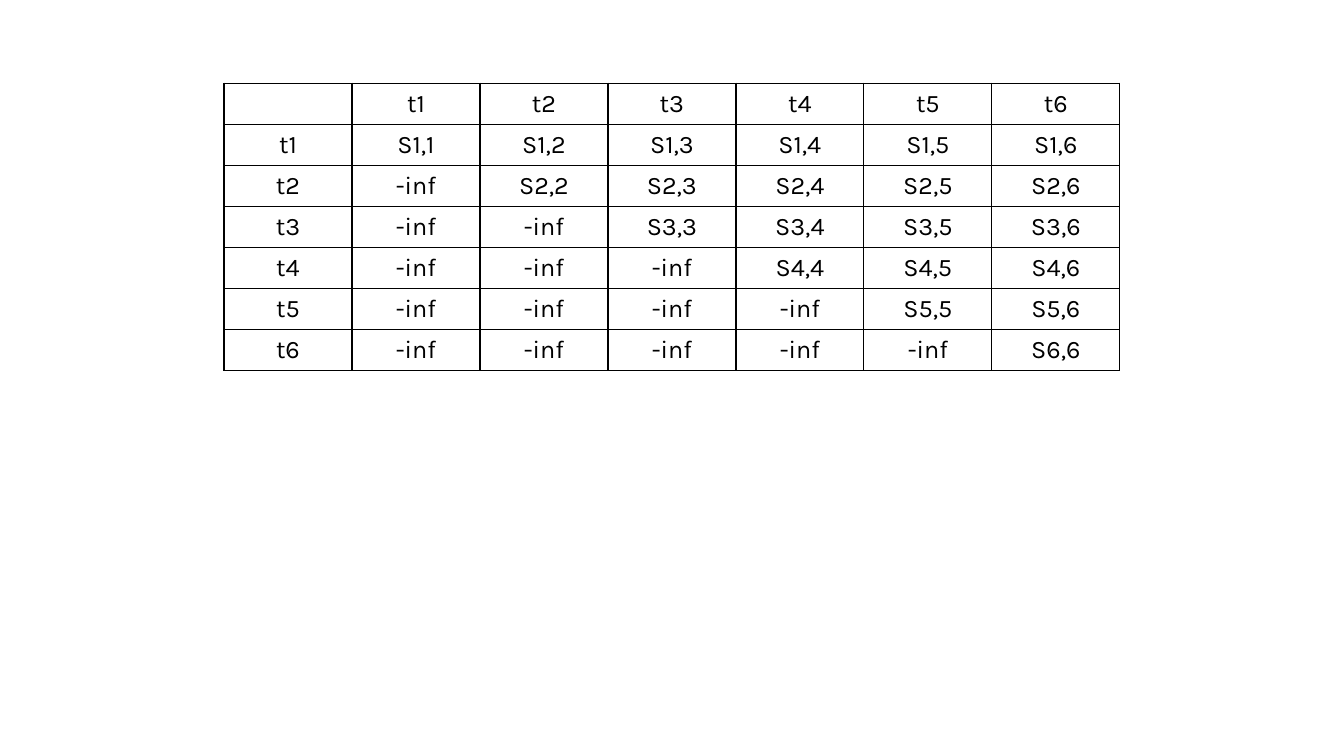
from dataclasses import dataclass

from lxml.etree import SubElement
from pptx import Presentation
from pptx.dml.color import RGBColor as RGB
from pptx.enum.text import MSO_ANCHOR as Anchor, PP_ALIGN as Align
from pptx.oxml.ns import qn
from pptx.util import Inches, Pt


@dataclass(frozen=True)
class Theme:
    font: str = "Karla"
    size: int = 18
    ink: str = "000000"
    border: int = 1


THEME = Theme()
TOKENS = 6


def score_rows(n):
    """Upper-triangular scores, with -inf wherever the end precedes the start."""
    names = [f"t{i}" for i in range(1, n + 1)]
    yield ["", *names]
    for i, name in enumerate(names, 1):
        yield [name] + [f"S{i},{j}" if j >= i else "-inf" for j in range(1, n + 1)]


def set_borders(cell):
    tcPr = cell._tc.get_or_add_tcPr()
    for side in ("a:lnL", "a:lnR", "a:lnT", "a:lnB"):
        ln = SubElement(tcPr, qn(side), w=str(Pt(THEME.border)))
        fill = SubElement(ln, qn("a:solidFill"))
        SubElement(fill, qn("a:srgbClr"), val=THEME.ink)


def fill_cell(cell, text):
    set_borders(cell)
    cell.fill.background()
    cell.vertical_anchor = Anchor.MIDDLE
    p = cell.text_frame.paragraphs[0]
    p.alignment = Align.CENTER
    if text:
        r = p.add_run()
        r.text = text
        formats = {"name": THEME.font, "size": Pt(THEME.size), "bold": False}
        for key, value in formats.items():
            setattr(r.font, key, value)
        r.font.color.rgb = RGB.from_string(THEME.ink)


def add_grid(slide, rows, left, top, width, height):
    table = slide.shapes.add_table(len(rows), len(rows[0]), left, top, width, height).table
    table.first_row = table.horz_banding = False
    for i, row in enumerate(rows):
        for j, text in enumerate(row):
            fill_cell(table.cell(i, j), text)


def main():
    prs = Presentation()
    prs.slide_width, prs.slide_height = Inches(13.33), Inches(7.5)
    w, h = prs.slide_width, prs.slide_height
    s = prs.slides.add_slide(prs.slide_layouts[6])
    add_grid(s, list(score_rows(TOKENS)), w // 6, int(h * 0.11), w * 2 // 3, int(h * 0.38))
    prs.save("out.pptx")


if __name__ == "__main__":
    main()
